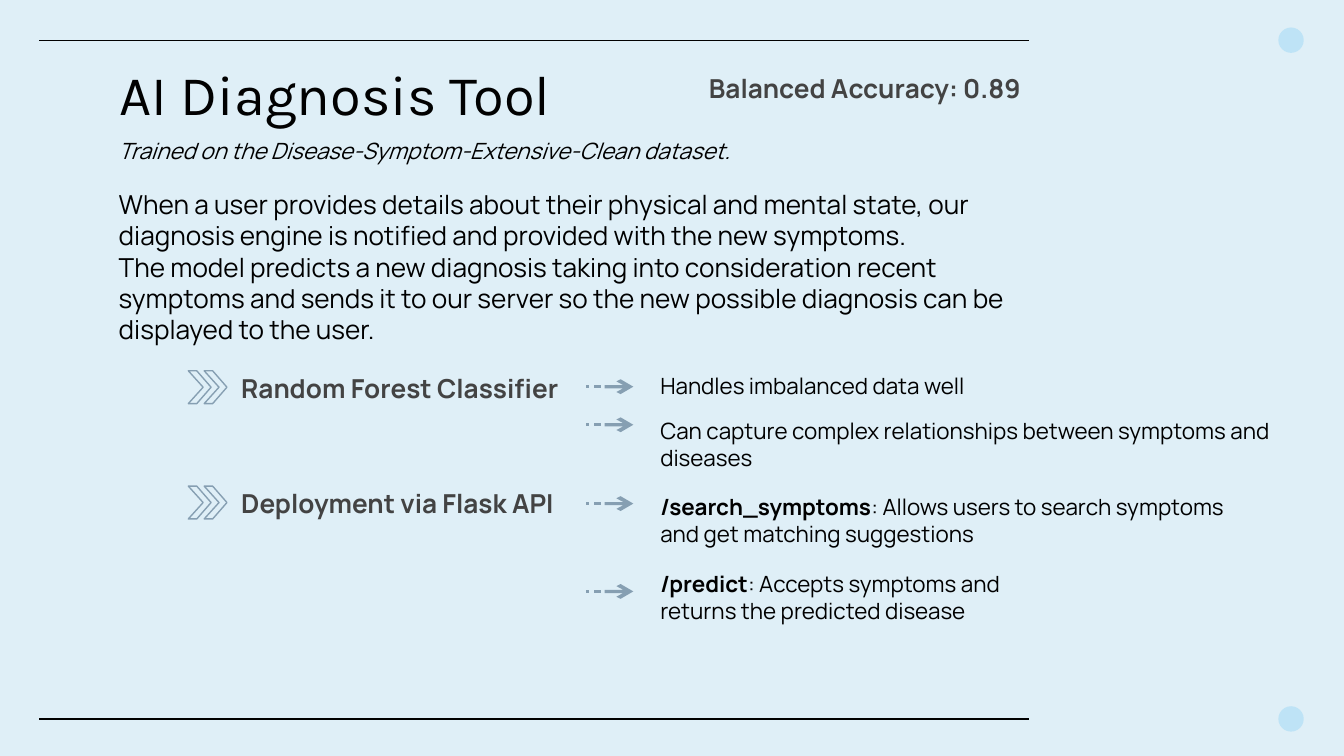
from pptx import Presentation
from pptx.dml.color import RGBColor
from pptx.enum.shapes import MSO_CONNECTOR, MSO_SHAPE
from pptx.enum.text import MSO_ANCHOR, MSO_AUTO_SIZE, PP_ALIGN
from pptx.oxml.ns import qn
from pptx.util import Cm, Pt
from lxml.etree import SubElement

COLORS = {
    "background": "DFEFF7",
    "dot": "BEE3F6",
    "ink": "010101",
    "text": "000000",
    "heading": "434343",
    "icon": "869FB2",
}
COLORS = {part: RGBColor.from_string(value) for part, value in COLORS.items()}

presentation = Presentation()
presentation.slide_width, presentation.slide_height = Cm(25.4), Cm(14.29)
slide = presentation.slides.add_slide(presentation.slide_layouts[1])
slide.background.fill.solid()
slide.background.fill.fore_color.rgb = COLORS["background"]


def write(box, place, paragraphs, size, color, font="Manrope", bold=False, italic=False):
    box.left, box.top, box.width, box.height = [Cm(length) for length in place]
    frame = box.text_frame
    frame.word_wrap = True
    frame.auto_size = MSO_AUTO_SIZE.NONE
    frame.vertical_anchor = MSO_ANCHOR.TOP
    frame.text = "\n".join(paragraphs)
    for paragraph in frame.paragraphs:
        paragraph.alignment = PP_ALIGN.LEFT
        paragraph.space_before = Pt(0)
        for run in paragraph.runs:
            run.font.name, run.font.size = font, Pt(size)
            run.font.bold, run.font.italic = bold, italic
            run.font.color.rgb = COLORS[color]
    return frame


def outline(points, left, top):
    builder = slide.shapes.build_freeform(*points[0], scale=Cm(0.01))
    builder.add_line_segments(points[1:], close=True)
    figure = builder.convert_to_shape(Cm(left), Cm(top))
    figure.shadow.inherit = False
    return figure


for y in (0.76, 13.59):
    rule = slide.shapes.add_connector(MSO_CONNECTOR.STRAIGHT, Cm(0.74), Cm(y), Cm(19.44), Cm(y))
    rule.line.color.rgb = COLORS["ink"]
    rule.line.width = Pt(0.75)
    SubElement(rule._element.spPr, qn("a:effectLst"))
    dot = slide.shapes.add_shape(MSO_SHAPE.OVAL, Cm(24.16), Cm(y - 0.24), Cm(0.48), Cm(0.48))
    dot.shadow.inherit = False
    dot.fill.solid()
    dot.fill.fore_color.rgb = COLORS["dot"]
    dot.line.fill.background()

title = write(slide.shapes.title, (2.01, 0.88, 21.41, 1.6), ["AI Diagnosis Tool"], 30, "ink", "Karla")
title.margin_top = title.margin_bottom = Cm(0.25)

description = write(slide.placeholders[1], (1.99, 3.43, 17.3, 5.05), [
    "When a user provides details about their physical and mental state, our diagnosis engine "
    "is notified and provided with the new symptoms.",
    "The model predicts a new diagnosis taking into consideration recent symptoms and sends it "
    "to our server so the new possible diagnosis can be displayed to the user.",
], 14, "text")
for paragraph in description.paragraphs:
    properties = paragraph._p.get_or_add_pPr()
    properties.set("marL", "0")
    properties.set("indent", "0")
    SubElement(properties, qn("a:buNone"))

dataset = slide.shapes.add_textbox(0, 0, 0, 0)
write(dataset, (1.99, 2.46, 14.71, 0.76),
      ["Trained on the Disease-Symptom-Extensive-Clean dataset."], 12, "text", italic=True)

headings = [
    ("Balanced Accuracy: 0.89", 13.15, 1.24, 7.62),
    ("Random Forest Classifier", 4.31, 6.91, 7.62),
    ("Deployment via Flask API", 4.31, 9.09, 6.76),
]
for heading, left, top, width in headings:
    write(slide.shapes.add_textbox(0, 0, 0, 0), (left, top, width, 0.86),
          [heading], 14, "heading", bold=True)

chevron_points = [(0, 0), (28, 31), (0, 62), (16, 62), (43, 31), (16, 0)]
for top in (7.01, 9.19):
    for left in (3.56, 3.86):
        chevron = outline(chevron_points, left, top)
        chevron.fill.background()
        chevron.line.color.rgb = COLORS["icon"]
        chevron.line.width = Pt(0.75)

arrow_parts = [
    [(66, -14), (58, -10), (71, -3), (36, -3), (36, 3), (71, 3), (58, 10), (66, 14), (90, 0)],
    [(15, -3), (15, 3), (29, 3), (29, -3)],
    [(0, -3), (0, 3), (6, 3), (6, -3)],
]
details = [
    ("", "Handles imbalanced data well", 7.31, 6.91, 7.62, 0.76),
    ("", "Can capture complex relationships between symptoms and diseases", 8.03, 7.76, 12.14, 1.27),
    ("/search_symptoms", ": Allows users to search symptoms and get matching suggestions",
     9.52, 9.19, 11.86, 1.27),
    ("/predict", ": Accepts symptoms and returns the predicted disease", 11.18, 10.65, 7.62, 1.27),
]
for endpoint, explanation, arrow_y, top, width, height in details:
    for points in arrow_parts:
        arrow = outline(points, 11.07, arrow_y)
        arrow.fill.solid()
        arrow.fill.fore_color.rgb = COLORS["icon"]
        arrow.line.fill.background()
    detail = write(slide.shapes.add_textbox(0, 0, 0, 0), (12.23, top, width, height),
                   [endpoint or explanation], 12, "text", bold=bool(endpoint))
    if endpoint:
        remainder = detail.paragraphs[0].add_run()
        remainder.text = explanation
        remainder.font.name, remainder.font.size = "Manrope", Pt(12)
        remainder.font.color.rgb = COLORS["text"]

presentation.save("out.pptx")
